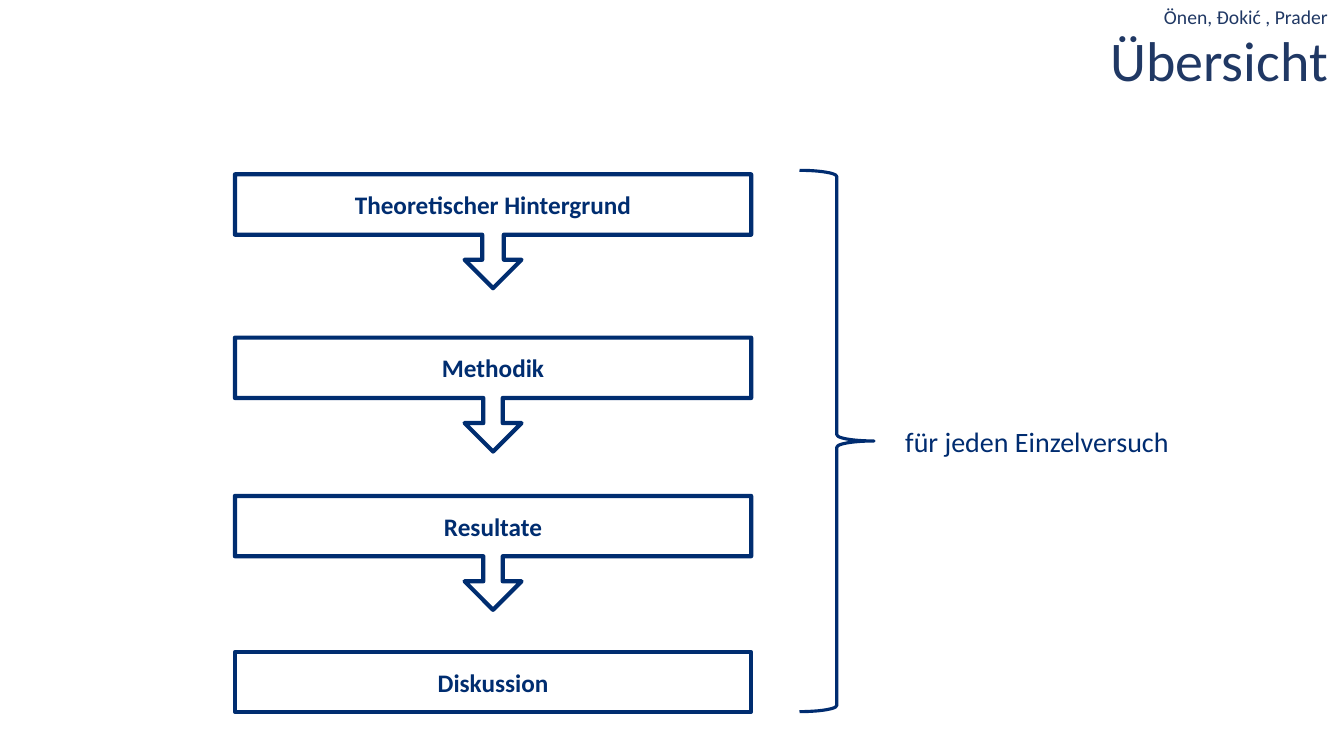
import pptx
import pptx.dml.color
import pptx.enum.shapes
import pptx.enum.text
import pptx.util

SHAPE = pptx.enum.shapes.MSO_SHAPE
ALIGN = pptx.enum.text.PP_ALIGN
ANCHOR = pptx.enum.text.MSO_ANCHOR
EMU_PER_PX = 9144  # 100 px to the inch

COLORS = {"heading": "203864", "box": "002D70", "brace": "002C70"}


def px(length):
    return pptx.util.Emu(length * EMU_PER_PX)


def rgb(name):
    return pptx.dml.color.RGBColor.from_string(COLORS[name])


class SlideBuilder:
    font_name = "Calibri"

    def __init__(self, presentation):
        self.slide = presentation.slides.add_slide(presentation.slide_layouts[5])

    def set_text(self, shape, text, color, size, align=ALIGN.LEFT, bold=False,
                 anchor=ANCHOR.MIDDLE, wrap=True, line_spacing=1.0):
        frame = shape.text_frame
        frame.text = text
        paragraph = frame.paragraphs[0]
        formats = (
            (frame, {"word_wrap": wrap, "vertical_anchor": anchor}),
            (paragraph, {"alignment": align, "line_spacing": line_spacing}),
            (paragraph.font, {"name": self.font_name, "size": pptx.util.Pt(size), "bold": bold}),
        )
        for target, values in formats:
            for name, value in values.items():
                setattr(target, name, value)
        paragraph.font.color.rgb = rgb(color)

    def title(self, box, text, **style):
        title = self.slide.shapes.title
        for name, length in zip(("left", "top", "width", "height"), box):
            setattr(title, name, px(length))
        title.text_frame.auto_size = pptx.enum.text.MSO_AUTO_SIZE.NONE
        self.set_text(title, text, **style)

    def label(self, box, text, **style):
        label = self.slide.shapes.add_textbox(*map(px, box))
        self.set_text(label, text, **style)

    def outline(self, kind, box, color, width, adjustments=()):
        shape = self.slide.shapes.add_shape(kind, *map(px, box))
        shape.shadow.inherit = False
        shape.fill.background()
        shape.line.color.rgb = rgb(color)
        shape.line.width = pptx.util.Pt(width)
        for index, value in enumerate(adjustments):
            shape.adjustments[index] = value
        return shape

    def step(self, kind, box, text, adjustments=()):
        shape = self.outline(kind, box, "box", 3, adjustments)
        self.set_text(shape, text, "box", 18, align=ALIGN.CENTER, bold=True)


def main():
    presentation = pptx.Presentation()
    presentation.slide_width = px(1333)
    presentation.slide_height = px(750)
    builder = SlideBuilder(presentation)

    # Authors and title
    heading = {"color": "heading", "align": ALIGN.RIGHT, "line_spacing": 0.9}
    builder.label((1101, -3, 226, 41), "Önen, Đokić , Prader", size=14, **heading)
    builder.title((422, 27, 905, 72), "Übersicht", size=40, **heading)

    # Steps of each report, the last one without an arrow
    left, width = 233, 512
    callouts = (
        ("Theoretischer Hintergrund", 173, 0.19),
        ("Methodik", 335, 0.17),
        ("Resultate", 492, 0.17),
    )
    for text, top, shaft in callouts:
        builder.step(SHAPE.DOWN_ARROW_CALLOUT, (left, top, width, 113), text,
                     (shaft, 0.25, 0.25, 0.53))
    builder.step(SHAPE.RECTANGLE, (left, 647, width, 59), "Diskussion")

    # Brace with its remark
    builder.outline(SHAPE.RIGHT_BRACE, (793, 169, 74, 537), "brace", 2.25)
    builder.label((888, 416, 284, 44), "für jeden Einzelversuch", color="brace", size=20,
                  anchor=ANCHOR.TOP, wrap=False)

    presentation.save("out.pptx")


if __name__ == "__main__":
    main()
